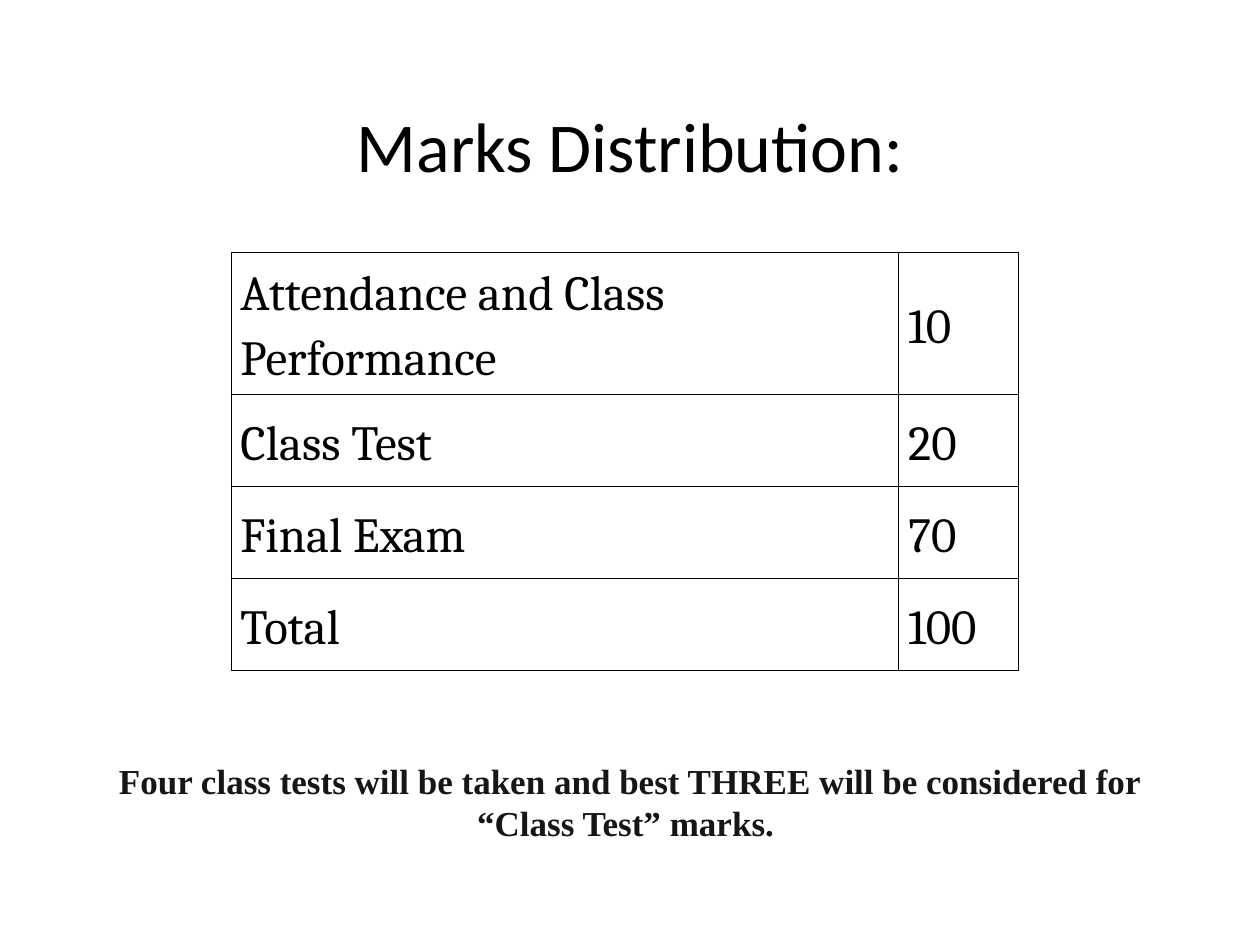
from pptx import Presentation
from pptx.dml.color import RGBColor
from pptx.enum.text import MSO_ANCHOR as Anchor, PP_ALIGN as Align
from pptx.oxml.ns import qn
from pptx.util import Pt
from lxml.etree import SubElement

BLACK = RGBColor(0x00, 0x00, 0x00)
CHARCOAL = RGBColor(0x16, 0x16, 0x16)

MARKS = [
    ("Attendance and Class Performance", "10"),
    ("Class Test", "20"),
    ("Final Exam", "70"),
    ("Total", "100"),
]
COLUMN_WIDTHS = [381.6, 68.4]
ROW_HEIGHTS = [77, 52.6, 52.6, 52.6]
BORDER_WIDTH = 0.45


def place(shape, left, top, width, height):
    shape.left, shape.top = Pt(left), Pt(top)
    shape.width, shape.height = Pt(width), Pt(height)


def write(frame, text, font_name, size, color, align, bold=False):
    """Put one formatted run into the frame's first paragraph."""
    paragraph = frame.paragraphs[0]
    paragraph.alignment = align
    run = paragraph.add_run()
    run.text = text
    font = run.font
    font.name, font.size, font.bold = font_name, Pt(size), bold
    font.color.rgb = color
    return paragraph


def add_borders(cell):
    """Draw a thin line on all four sides; borders go before the fill."""
    properties = cell._tc.get_or_add_tcPr()
    for side in ("a:lnL", "a:lnR", "a:lnT", "a:lnB"):
        line = SubElement(properties, qn(side), w=str(int(Pt(BORDER_WIDTH))))
        fill = SubElement(line, qn("a:solidFill"))
        SubElement(fill, qn("a:srgbClr"), val=str(BLACK))


def add_title(slide):
    title = slide.shapes.title
    place(title, 36, 57.6, 648, 50.4)
    title.text_frame.vertical_anchor = Anchor.MIDDLE
    write(title.text_frame, "Marks Distribution:", "Calibri", 40, BLACK,
          Align.CENTER)


def fill_cell(cell, text):
    add_borders(cell)
    cell.fill.background()
    cell.vertical_anchor = Anchor.MIDDLE
    cell.margin_left = cell.margin_right = Pt(5.4)
    cell.margin_top = cell.margin_bottom = Pt(3.6)
    paragraph = write(cell.text_frame, text, "Cambria", 28, BLACK, Align.LEFT)
    paragraph.line_spacing = 1.15


def add_marks_table(slide):
    marks_table = slide.shapes.add_table(
        len(MARKS), len(COLUMN_WIDTHS), Pt(132), Pt(144),
        Pt(sum(COLUMN_WIDTHS)), Pt(sum(ROW_HEIGHTS))).table
    marks_table.first_row = marks_table.horz_banding = False
    for column, width in zip(marks_table.columns, COLUMN_WIDTHS):
        column.width = Pt(width)
    for row, height, entries in zip(marks_table.rows, ROW_HEIGHTS, MARKS):
        row.height = Pt(height)
        for cell, entry in zip(row.cells, entries):
            fill_cell(cell, entry)


def add_test_note(slide):
    note = slide.shapes.add_textbox(Pt(60), Pt(430.5), Pt(600), Pt(55.5))
    note.text_frame.word_wrap = True
    write(note.text_frame,
          "Four class tests will be taken and best THREE will be considered "
          "for “Class Test” marks. ",
          "Times New Roman", 20, CHARCOAL, Align.CENTER, bold=True)


def main():
    deck = Presentation()
    deck.slide_width, deck.slide_height = Pt(720), Pt(540)
    slide = deck.slides.add_slide(deck.slide_layouts[5])  # Title Only

    # Heading, table of marks, and the note below it
    add_title(slide)
    add_marks_table(slide)
    add_test_note(slide)

    deck.save("out.pptx")


if __name__ == "__main__":
    main()
